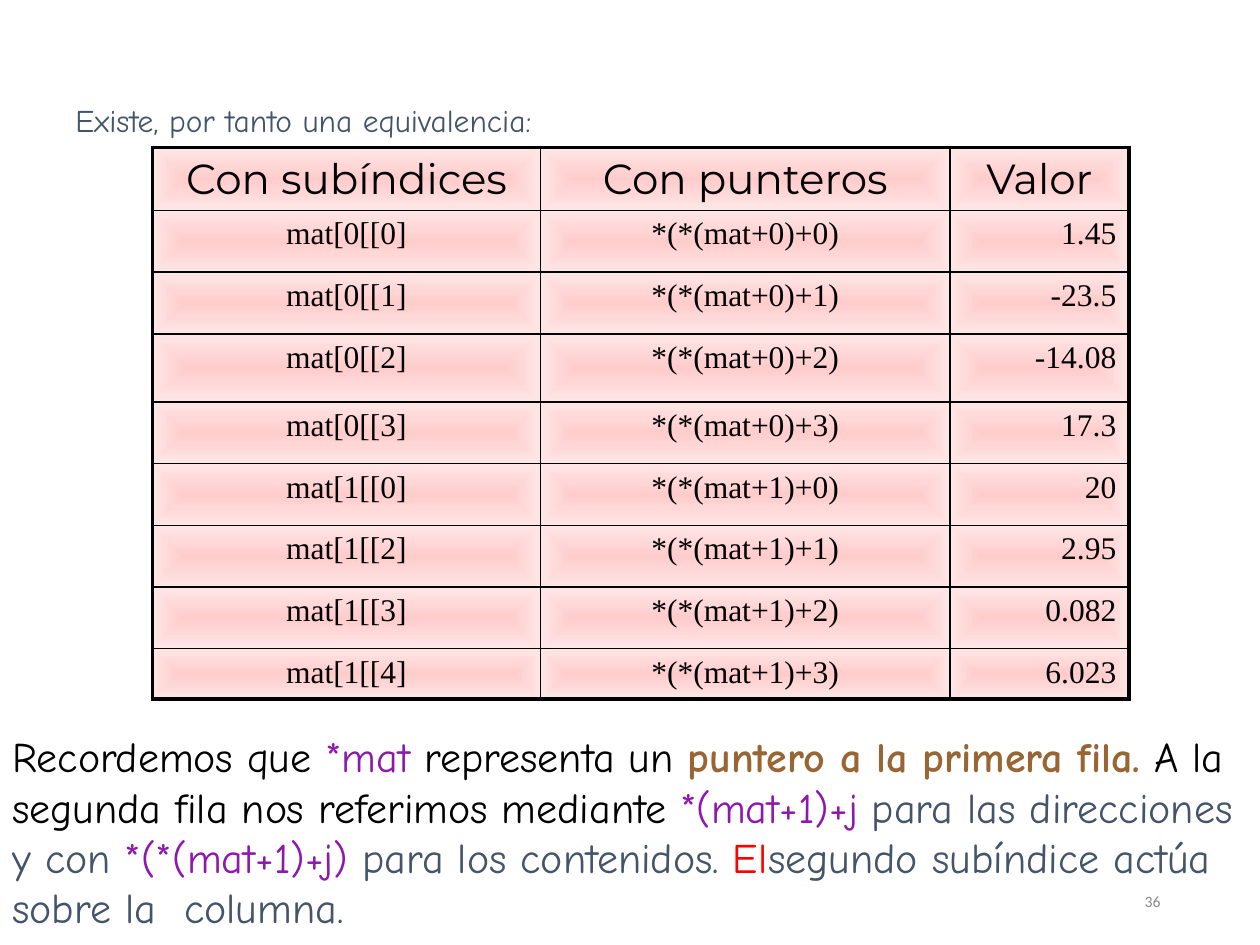
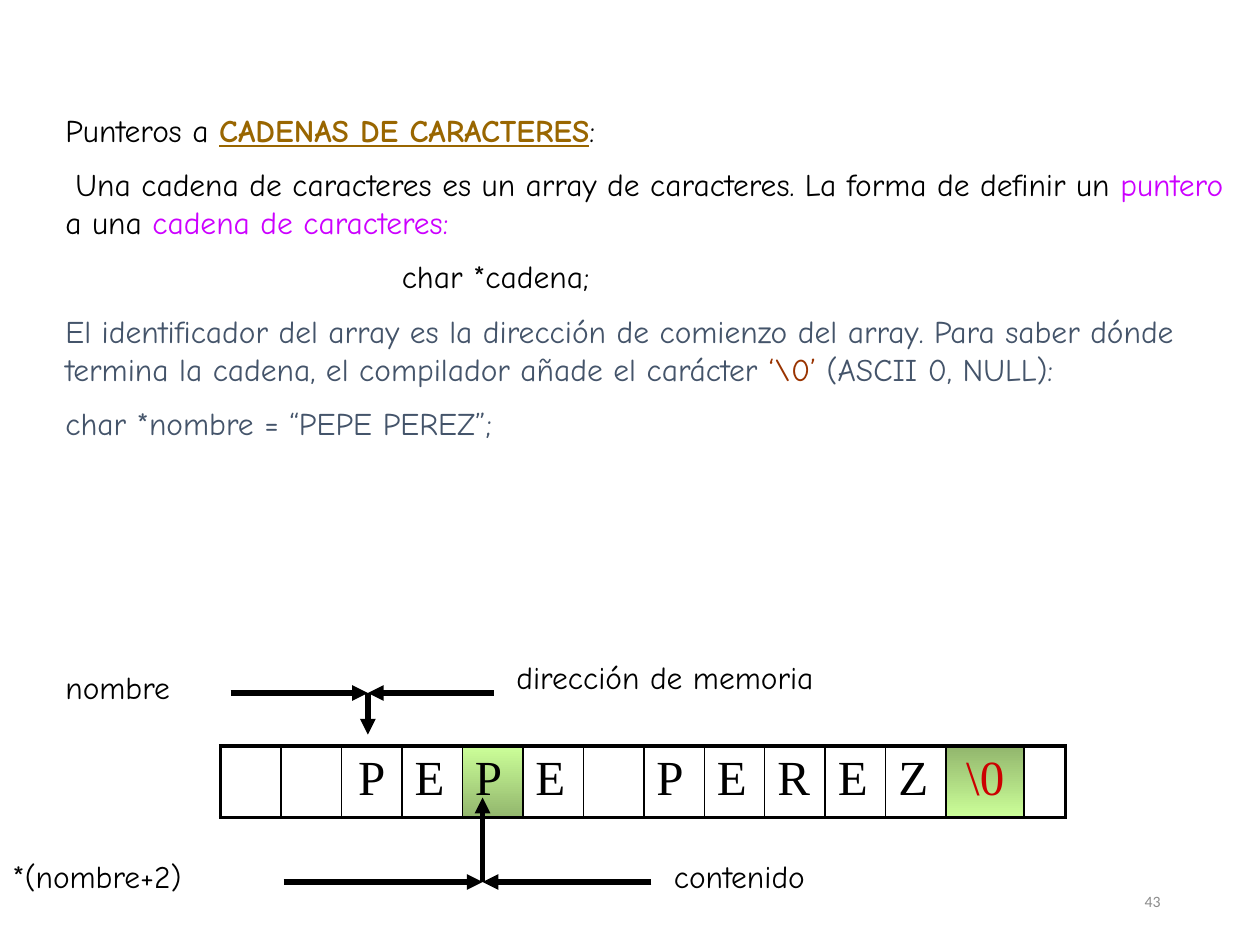
from dataclasses import dataclass
from typing import NamedTuple

from pptx import Presentation
from pptx.dml.color import RGBColor
from pptx.enum.shapes import MSO_CONNECTOR
from pptx.enum.text import MSO_ANCHOR, MSO_AUTO_SIZE, PP_ALIGN
from pptx.oxml import parse_xml
from pptx.oxml.ns import nsdecls
from pptx.util import Inches, Pt

LEFT, CENTER, RIGHT = PP_ALIGN.LEFT, PP_ALIGN.CENTER, PP_ALIGN.RIGHT
TOP, MIDDLE = MSO_ANCHOR.TOP, MSO_ANCHOR.MIDDLE
GROW, FIXED = MSO_AUTO_SIZE.SHAPE_TO_FIT_TEXT, MSO_AUTO_SIZE.NONE
STRAIGHT = MSO_CONNECTOR.STRAIGHT

BLACK, SLATE, GRAY = "000000", "44546A", "8C8C8C"
PURPLE, MAGENTA, RED = "8E18AE", "CC00FF", "FF0000"
BROWN, GOLD, RUST, CRIMSON = "996633", "996600", "993300", "CC0000"
PINK, PALE_PINK, LIME, MOSS = "FFCCCC", "FFE6E6", "CCFF99", "92B66D"
BODY, HEADING, CODE, FOOTER = "Comic Neue", "Montserrat", "Times New Roman", "Calibri"
THICK, THIN = 2.25, 1


class Run(NamedTuple):
    text: str
    color: str = BLACK
    bold: bool = False
    underline: bool = False


@dataclass
class Para:
    runs: list[Run]
    align: int = LEFT
    before: float = 0
    left: float = 0
    first: float = 0
    tab: float = 0


@dataclass
class Box:
    left: float
    top: float
    width: float
    height: float
    paras: list[Para]
    size: float = 18
    font: str = BODY
    anchor: int = TOP
    auto_size: int = GROW


@dataclass
class Cell:
    text: str = ""
    align: int = LEFT
    size: float = 18
    font: str = CODE
    color: str = BLACK
    gradient: str = ""


class Arrow(NamedTuple):
    x1: float
    y1: float
    x2: float
    y2: float


def rgb(value: str) -> RGBColor:
    return RGBColor.from_string(value)


def xml(tag: str, attrs: str, inner: str):
    return parse_xml(f"<a:{tag} {nsdecls('a')} {attrs}>{inner}</a:{tag}>")


def solid(color: str) -> str:
    return f'<a:solidFill><a:srgbClr val="{color}"/></a:solidFill>'


def gradient(start: str, end: str, shade: str) -> str:
    stops = "".join(f'<a:gs pos="{pos}"><a:srgbClr val="{color}"/></a:gs>'
                    for pos, color in ((0, start), (100000, end)))
    return f"<a:gsLst>{stops}</a:gsLst>{shade}"


DOWNWARD = '<a:lin ang="5400000" scaled="1"/>'
INWARD = ('<a:path path="shape"><a:fillToRect l="50000" t="50000" '
          'r="50000" b="50000"/></a:path>')
PINK_GLOW = gradient(PINK, PALE_PINK, INWARD)
LIME_DOWN = gradient(LIME, MOSS, DOWNWARD)
LIME_UP = gradient(MOSS, LIME, DOWNWARD)


def write(p, para: Para, size: float, font: str) -> None:
    p.alignment = para.align
    p.space_before = Pt(para.before)
    pPr = p._p.get_or_add_pPr()
    for name, value in {"marL": para.left, "indent": para.first}.items():
        pPr.set(name, str(Inches(value)))
    if para.tab:
        pPr.append(xml("tabLst", "", f'<a:tab pos="{Inches(para.tab)}" algn="l"/>'))
    for run in para.runs:
        r = p.add_run()
        r.text = run.text
        style = {"name": font, "size": Pt(size), "bold": run.bold,
                 "underline": run.underline}
        for name, value in style.items():
            setattr(r.font, name, value)
        r.font.color.rgb = rgb(run.color)


def add_box(s, box: Box) -> None:
    sp = s.shapes.add_textbox(*map(Inches, (box.left, box.top, box.width, box.height)))
    tf = sp.text_frame
    frame = {"word_wrap": True, "vertical_anchor": box.anchor, "auto_size": box.auto_size}
    for name, value in frame.items():
        setattr(tf, name, value)
    for i, para in enumerate(box.paras):
        write(tf.add_paragraph() if i else tf.paragraphs[0], para, box.size, box.font)


def add_label(s, left: float, top: float, width: float, text: str,
              color: str = BLACK) -> None:
    add_box(s, Box(left, top, width, 0.5, [Para([Run(text, color)])]))


def add_number(s, number: int) -> None:
    paras = [Para([Run(str(number), GRAY)], RIGHT)]
    add_box(s, Box(7.06, 6.95, 2.25, 0.4, paras, 9, FOOTER, MIDDLE, FIXED))


def add_arrow(s, arrow: Arrow) -> None:
    sp = s.shapes.add_connector(STRAIGHT, *map(Inches, arrow))
    sp.line.width = Pt(3)
    sp.line.color.rgb = rgb(BLACK)
    sp.line._get_or_add_ln().append(xml("tailEnd", 'type="triangle"', ""))
    sp._element.spPr.append(xml("effectLst", "", ""))


def add_grid(s, left: float, top: float, cols: list[float], rows: list[float],
             cells: list[list[Cell]]) -> None:
    frame = s.shapes.add_table(len(rows), len(cols), *map(
        Inches, (left, top, sum(cols), sum(rows))))
    table = frame.table
    table.first_row = table.horz_banding = False
    for col, width in zip(table.columns, cols):
        col.width = Inches(width)
    for row, height in zip(table.rows, rows):
        row.height = Inches(height)
    for i, line in enumerate(cells):
        for j, item in enumerate(line):
            cell = table.cell(i, j)
            if item.text:
                write(cell.text_frame.paragraphs[0],
                      Para([Run(item.text, item.color)], item.align), item.size, item.font)
            tcPr = cell._tc.get_or_add_tcPr()
            outer = {"lnL": j == 0, "lnR": j == len(cols) - 1,
                     "lnT": i == 0, "lnB": i == len(rows) - 1}
            for tag, edge in outer.items():
                width = Pt(THICK if edge else THIN)
                tcPr.append(xml(tag, f'w="{width}"', solid(BLACK)))
            if item.gradient:
                tcPr.append(xml("gradFill", 'rotWithShape="1"', item.gradient))
            else:
                cell.fill.background()


def equivalence_slide(s) -> None:
    add_number(s, 36)
    add_label(s, 0.5, 0.75, 9.08, "Existe, por tanto una equivalencia:", SLATE)
    headers = ["Con subíndices", "Con punteros", "Valor"]
    subscripts = ["0[[0", "0[[1", "0[[2", "0[[3", "1[[0", "1[[2", "1[[3", "1[[4"]
    values = ["1.45", "-23.5", "-14.08", "17.3", "20", "2.95", "0.082", "6.023"]
    cells = [[Cell(text, CENTER, 24, HEADING, gradient=PINK_GLOW) for text in headers]]
    for i, (subscript, value) in enumerate(zip(subscripts, values)):
        row, col = divmod(i, 4)
        texts = [f"mat[{subscript}]", f"*(*(mat+{row})+{col})", value]
        cells.append([Cell(text, align, gradient=PINK_GLOW)
                      for text, align in zip(texts, (CENTER, CENTER, RIGHT))])
    heights = [0.49] * 3 + [0.54] + [0.49] * 4 + [0.39]
    add_grid(s, 1.21, 1.17, [3.08, 3.25, 1.42], heights, cells)
    summary = Para([
        Run("Recordemos que "), Run("*mat", PURPLE), Run(" representa un "),
        Run("puntero a la primera fila.", BROWN, True),
        Run(" A la segunda fila nos referimos mediante "),
        Run("*(mat+1)+j ", PURPLE), Run("para las direcciones y con ", SLATE),
        Run("*(*(mat+1)+j) ", PURPLE), Run("para los contenidos. ", SLATE),
        Run("El", RED), Run("\tsegundo subíndice actúa sobre la  columna.", SLATE),
    ], tab=7.43)
    add_box(s, Box(0, 5.75, 10, 1.72, [summary], 24))


def strings_slide(s) -> None:
    add_number(s, 43)
    gap = 9.5
    add_box(s, Box(0.42, 0.83, 9.58, 4.09, [
        Para([Run("Punteros a "), Run("CADENAS DE CARACTERES", GOLD, True, True), Run(":")]),
        Para([Run("Una cadena de caracteres es un array de caracteres. "
                  "La forma de definir un "),
              Run("puntero ", MAGENTA), Run("a una "),
              Run("cadena de caracteres:", MAGENTA)], before=gap, first=0.08),
        Para([Run("char *cadena;")], before=gap, left=2.67),
        Para([Run("El identificador del array es la dirección de comienzo del array. "
                  "Para saber dónde termina la cadena, el compilador añade el carácter ",
                  SLATE),
              Run("‘\\0’", RUST), Run(" (ASCII 0, NULL):", SLATE)], before=gap),
        Para([Run("char *nombre = “PEPE PEREZ”;", SLATE)], before=gap),
    ]))

    letters = [Cell(letter.strip(), size=28) for letter in "  PEPE PEREZ"]
    letters[2].align = CENTER
    letters[4].gradient = LIME_DOWN
    terminator = Cell("\\0", CENTER, 28, color=CRIMSON, gradient=LIME_UP)
    add_grid(s, 1.75, 5.92, [0.48] * 12 + [0.62, 0.33], [0.57],
             [letters + [terminator, Cell()]])

    add_label(s, 0.42, 5.25, 2.08, "nombre")
    add_label(s, 0, 6.75, 2.17, "*(nombre+2)")
    add_label(s, 4, 5.17, 3.75, "dirección de memoria")
    add_label(s, 5.25, 6.75, 2.67, "contenido")
    for left, middle, right, y, tip in ((1.83, 2.92, 3.92, 5.5, 5.83),
                                        (2.25, 3.83, 5.17, 7, 6.33)):
        add_arrow(s, Arrow(middle, y, middle, tip))
        for start in (left, right):
            add_arrow(s, Arrow(start, y, middle, y))


prs = Presentation()
prs.slide_width, prs.slide_height = Inches(10), Inches(7.5)
for build in (equivalence_slide, strings_slide):
    build(prs.slides.add_slide(prs.slide_layouts[6]))
prs.save("out.pptx")
